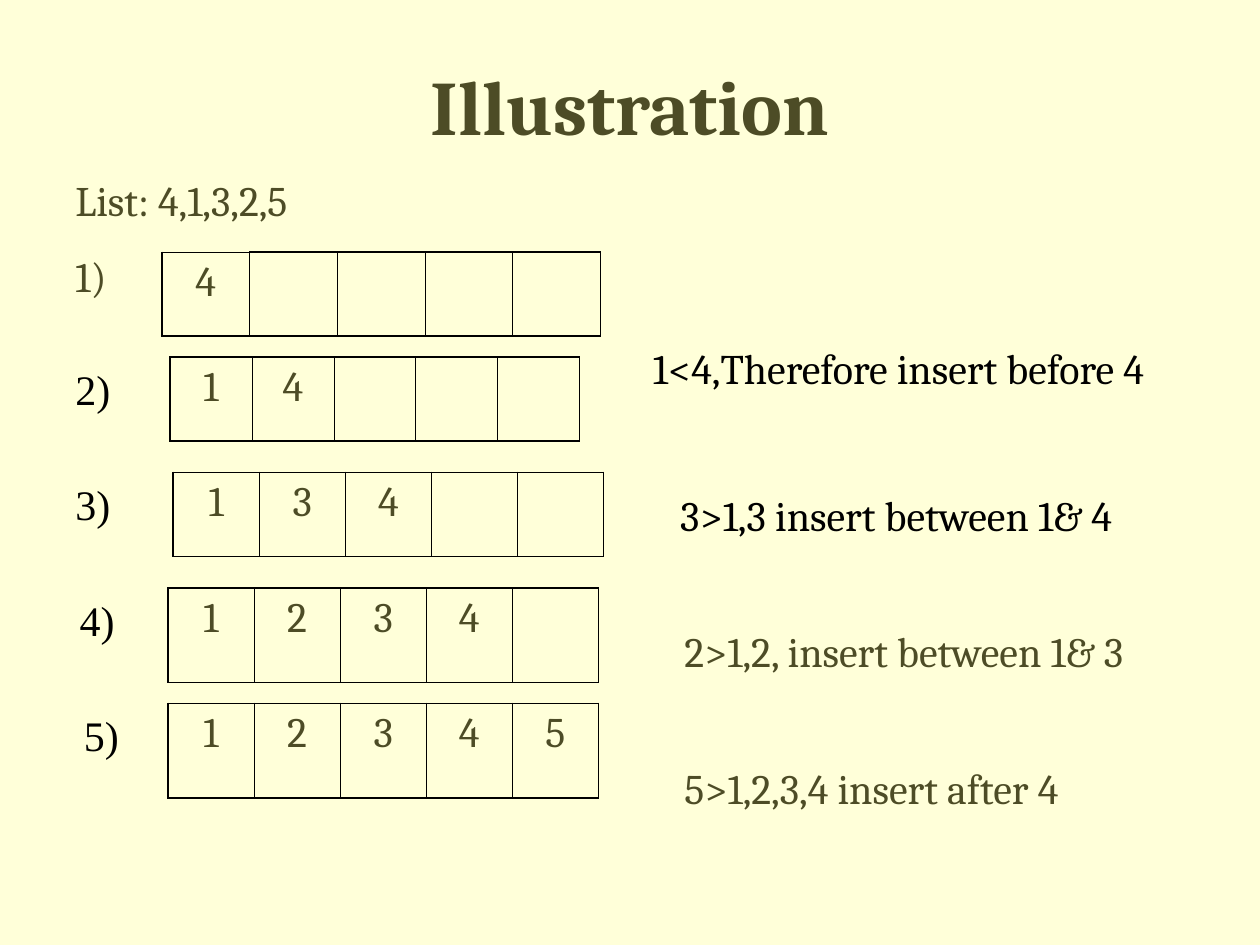
"""Build a slide that illustrates insertion sort step by step."""
from lxml import etree
from pptx import Presentation
from pptx.dml.color import RGBColor
from pptx.enum.text import MSO_ANCHOR, MSO_AUTO_SIZE, PP_ALIGN
from pptx.oxml.ns import qn
from pptx.util import Inches, Pt

CENTER = PP_ALIGN.CENTER
MIDDLE = MSO_ANCHOR.MIDDLE
GROW = MSO_AUTO_SIZE.SHAPE_TO_FIT_TEXT
FIXED = MSO_AUTO_SIZE.NONE

THEME = {
    "background": "FFFFD9", "olive": "4D4C26", "black": "000000",
    "serif": "Cambria", "label": "Times New Roman",
    "title_size": 44, "body_size": 24, "space": 15,
    "thick": 1.08, "thin": 0.45,
}

presentation = Presentation()
presentation.slide_width = Inches(10)
presentation.slide_height = Inches(7.5)
COLUMN = presentation.slide_width // 120
ROW = presentation.slide_height // 90


def format_paragraph(paragraph, color, font="serif", size="body_size"):
    for run in paragraph.runs:
        run.font.name = THEME[font]
        run.font.size = Pt(THEME[size])
        run.font.color.rgb = RGBColor.from_string(THEME[color])


def add_text(slide, text, left, top, width, height, color, font="serif"):
    box = slide.shapes.add_textbox(
        round(left * COLUMN), round(top * ROW), round(width * COLUMN), round(height * ROW))
    frame = box.text_frame
    frame.word_wrap = True
    frame.auto_size = GROW
    frame.text = text
    for index, paragraph in enumerate(frame.paragraphs):
        paragraph.space_before = Pt(THEME["space"] if index else 0)
        format_paragraph(paragraph, color, font)


slide = presentation.slides.add_slide(presentation.slide_layouts[5])
slide.background.fill.solid()
slide.background.fill.fore_color.rgb = RGBColor.from_string(THEME["background"])

title = slide.shapes.title
title.left, title.top = 9 * COLUMN, 2 * ROW
title.width, title.height = 102 * COLUMN, 16 * ROW
title.text_frame.text = "Illustration"
title.text_frame.auto_size = FIXED
title.text_frame.vertical_anchor = MIDDLE
heading = title.text_frame.paragraphs[0]
heading.alignment = CENTER
format_paragraph(heading, "olive", size="title_size")
heading.runs[0].font.bold = True

add_text(slide, "List: 4,1,3,2,5\n1)", 6, 16, 114, 13.3, "olive")

labels = [
    ("2)", 6, 34, 52),
    ("3)", 6, 45, 52),
    ("4)", 6.4, 56, 42),
    ("5)", 6.8, 67, 58),
]
for text, left, top, width in labels:
    add_text(slide, text, left, top, width, 6, "black", "label")

CELL_COUNT = 5
steps = [
    ("4", 15.4, 24, 8.36, 8, "thin"),
    ("14", 16.2, 34, 7.8, 8, "thick"),
    ("134", 16.5, 45, 8.2, 8, "thick"),
    ("1234", 16, 56, 8.2, 9, "thick"),
    ("12345", 16, 67, 8.2, 9, "thick"),
]
for values, left, top, cell_width, height, first_top in steps:
    table = slide.shapes.add_table(
        1, CELL_COUNT, round(left * COLUMN), top * ROW,
        round(CELL_COUNT * cell_width * COLUMN), height * ROW).table
    table.first_row = False
    table.horz_banding = False
    for index, cell in enumerate(table.iter_cells()):
        borders = {
            "a:lnL": "thick" if index == 0 else "thin",
            "a:lnR": "thick" if index == CELL_COUNT - 1 else "thin",
            "a:lnT": first_top if index == 0 else "thick",
            "a:lnB": "thick",
        }
        properties = cell._tc.get_or_add_tcPr()
        for tag, weight in borders.items():
            line = etree.SubElement(properties, qn(tag), w=str(Pt(THEME[weight])))
            fill = etree.SubElement(line, qn("a:solidFill"))
            etree.SubElement(fill, qn("a:srgbClr"), val=THEME["black"])
        cell.fill.background()
        if index < len(values):
            cell.text_frame.text = values[index]
            paragraph = cell.text_frame.paragraphs[0]
            paragraph.alignment = CENTER
            format_paragraph(paragraph, "olive")

notes = [
    ("1<4,Therefore insert before 4", 61, 32, "black"),
    ("3>1,3 insert between 1& 4", 63.6, 46, "black"),
    ("2>1,2, insert between 1& 3", 64, 59, "olive"),
    ("5>1,2,3,4 insert after 4", 64, 72, "olive"),
]
for text, left, top, color in notes:
    add_text(slide, text, left, top, 59, 6, color)

presentation.save("out.pptx")
